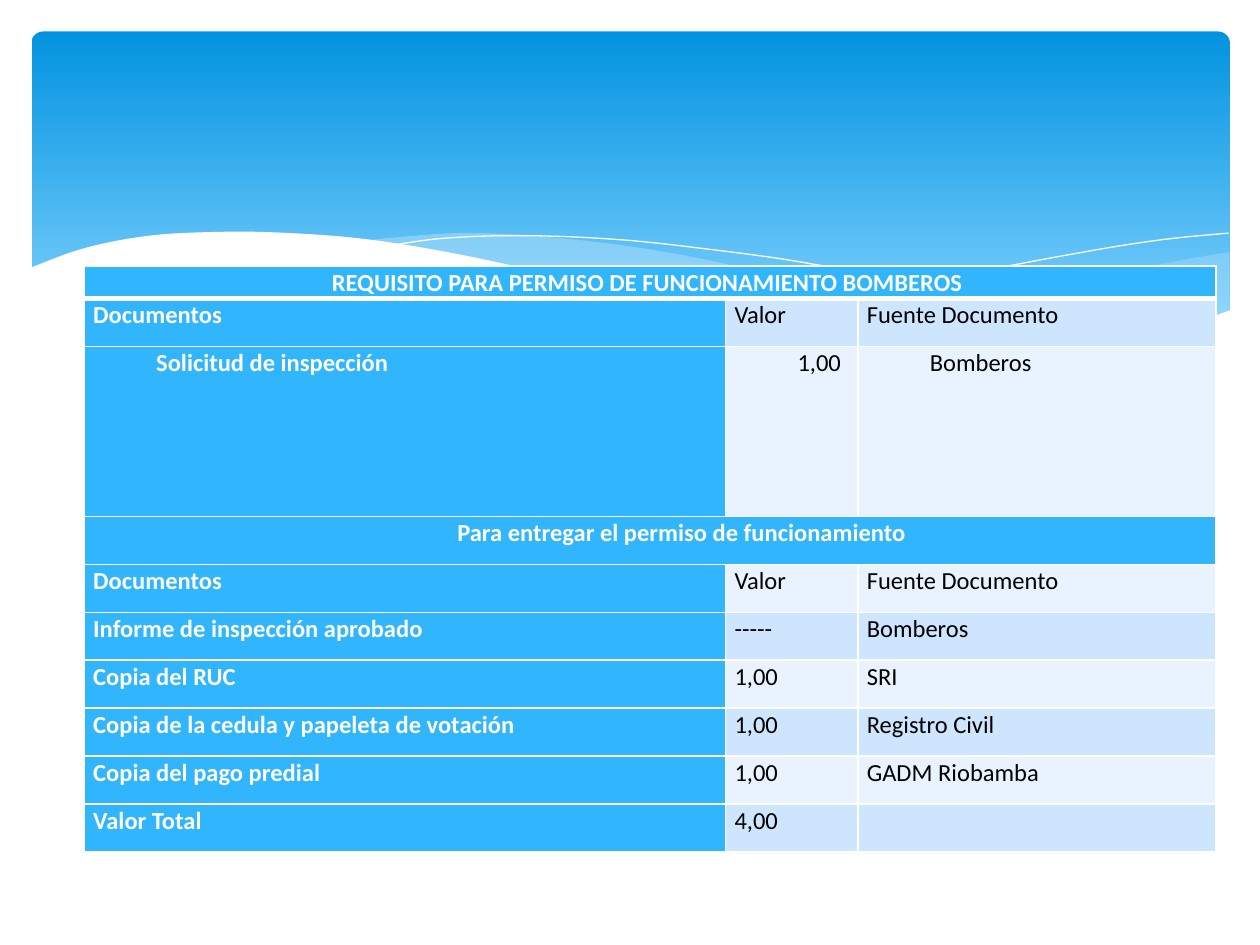
import pptx
import pptx.dml.color
import pptx.enum.shapes
import pptx.enum.text
import pptx.oxml.ns
import pptx.util
from lxml import etree

RGBColor = pptx.dml.color.RGBColor
Inches = pptx.util.Inches
Pt = pptx.util.Pt

WHITE = RGBColor(0xFF, 0xFF, 0xFF)
BLACK = RGBColor(0, 0, 0)
SKY_TOP = RGBColor(0x02, 0x93, 0xE0)
SKY_BOTTOM = RGBColor(0x83, 0xD3, 0xFE)
MIST = RGBColor(0xC6, 0xE7, 0xFC)
ACCENT = RGBColor(0x31, 0xB6, 0xFD)
BANDS = (RGBColor(0xE8, 0xF3, 0xFF), RGBColor(0xCE, 0xE5, 0xFE))

RIGHT_WAVE = (
    [(9.76, 2), (9.35, 2.07), (8.91, 2.16), (8.32, 2.3), (7.53, 2.48), (6.61, 2.65)],
    [(6.61, 2.65), (7.05, 2.71), (7.57, 2.76), (8.03, 2.78), (8.54, 2.76),
     (8.97, 2.7), (9.35, 2.62), (9.76, 2.47)],
)
MIDDLE_WAVE = (
    [(8.93, 2.73), (8.07, 2.6), (7.06, 2.4), (6.29, 2.22), (5.55, 2.05),
     (4.89, 1.94), (4.2, 1.87), (3.61, 1.85), (2.86, 1.91)],
    [(2.86, 1.91), (3.62, 2.03), (4.49, 2.22), (5.3, 2.4), (6.01, 2.55),
     (6.8, 2.68), (7.48, 2.76), (8.18, 2.78), (8.93, 2.73)],
)
LONG_CREST = [(3.09, 1.95), (3.53, 1.89), (4.16, 1.87), (4.89, 1.9), (5.56, 1.97),
              (6.36, 2.08), (7.27, 2.26), (8.31, 2.51), (9.07, 2.72)]
SHORT_CREST = [(6.13, 2.57), (6.95, 2.35), (7.76, 2.16), (8.66, 1.99),
               (9.24, 1.9), (9.75, 1.85)]
FRONT_WAVE = (
    [(9.77, 2.46), (9.3, 2.62), (8.75, 2.73), (8.09, 2.77), (7.44, 2.74),
     (6.68, 2.65), (6.03, 2.54), (5.29, 2.39), (4.47, 2.2), (3.65, 2.02),
     (2.92, 1.9), (2.3, 1.85), (1.77, 1.84), (1.19, 1.87), (0.67, 1.97), (0.23, 2.13)],
    [(0.23, 3.29), (9.77, 3.29)],
)

COLUMN_WIDTHS = (5.09, 1.05, 2.84)
TITLE_HEIGHT, ROW_HEIGHT, REQUEST_HEIGHT = 0.26, 0.38, 1.35
REQUEST_ROW, DELIVERY_ROW = 2, 3
HEADINGS = ("Documentos", "Valor", "Fuente Documento")
REQUIREMENTS = (
    ("REQUISITO PARA PERMISO DE FUNCIONAMIENTO BOMBEROS ",),
    HEADINGS,
    ("Solicitud de inspección", "1,00", "Bomberos"),
    ("Para entregar el permiso de funcionamiento",),
    HEADINGS,
    ("Informe de inspección aprobado", "-----", "Bomberos"),
    ("Copia del RUC", "1,00", "SRI"),
    ("Copia de la cedula y papeleta de votación", "1,00", "Registro Civil"),
    ("Copia del pago predial", "1,00", "GADM Riobamba"),
    ("Valor Total", "4,00", ""),
)


def add_element(parent, tag, **attributes):
    """Append a DrawingML element to its parent."""
    return etree.SubElement(parent, pptx.oxml.ns.qn(tag), attributes)


def smooth(knots, steps=6):
    """Return points of a Catmull-Rom curve through the knots."""
    padded = [knots[0], *knots, knots[-1]]
    points = [knots[0]]
    for a, b, c, d in zip(padded, padded[1:], padded[2:], padded[3:]):
        for step in range(1, steps + 1):
            t = step / steps
            points.append(tuple(
                (2 * q + (r - p) * t + (2 * p - 5 * q + 4 * r - s) * t ** 2
                 + (3 * q - p - 3 * r + s) * t ** 3) / 2
                for p, q, r, s in zip(a, b, c, d)))
    return points


def add_outline(slide, edges, closed):
    """Draw a freeform along smooth edges."""
    points = [(Inches(x), Inches(y)) for edge in edges for x, y in smooth(edge)]
    builder = slide.shapes.build_freeform(*points[0])
    builder.add_line_segments(points[1:], close=closed)
    outline = builder.convert_to_shape()
    outline.shadow.inherit = False
    return outline


def add_wave(slide, edges, colour, opacity=100):
    """Draw a filled wave with the given opacity in percent."""
    wave = add_outline(slide, edges, True)
    wave.fill.solid()
    wave.fill.fore_color.rgb = colour
    wave.line.fill.background()
    if opacity < 100:
        tint = wave.fill._xPr.find(".//" + pptx.oxml.ns.qn("a:srgbClr"))
        add_element(tint, "a:alpha", val=str(opacity * 1000))


def add_crest(slide, knots):
    """Draw a white hairline curve."""
    crest = add_outline(slide, [knots], False)
    crest.fill.background()
    crest.line.color.rgb = WHITE
    crest.line.width = Pt(0)


def add_sky(slide):
    """Draw the rounded gradient panel."""
    sky = slide.shapes.add_shape(
        pptx.enum.shapes.MSO_SHAPE.ROUNDED_RECTANGLE,
        Inches(0.25), Inches(0.25), Inches(9.51), Inches(2.7))
    sky.adjustments[0] = 0.034
    sky.shadow.inherit = False
    sky.line.fill.background()
    sky.fill.gradient()
    sky.fill.gradient_angle = 270
    for stop, colour, position in zip(
            sky.fill.gradient_stops, (SKY_TOP, SKY_BOTTOM), (0, 0.9)):
        stop.color.rgb = colour
        stop.position = position


def add_borders(cell, row):
    """Give a cell white borders, thick below the title row."""
    widths = {"L": 1, "R": 1, "T": 3 if row == 1 else 1, "B": 3 if row == 0 else 1}
    properties = cell._tc.get_or_add_tcPr()
    for side, width in widths.items():
        border = add_element(properties, f"a:ln{side}", w=str(Pt(width)))
        paint = add_element(border, "a:solidFill")
        add_element(paint, "a:srgbClr", val=str(WHITE))


def style_cell(cell, row, is_label):
    """Set the margins, borders and fill of a cell."""
    cell.margin_left = cell.margin_right = Inches(0.07)
    cell.margin_top = cell.margin_bottom = 0
    add_borders(cell, row)
    cell.fill.solid()
    cell.fill.fore_color.rgb = ACCENT if is_label else BANDS[row % 2]


def write_cell(cell, text, is_label, centred, indented):
    """Write the text of a cell."""
    paragraph = cell.text_frame.paragraphs[0]
    paragraph.line_spacing = 1.07
    if centred:
        paragraph.alignment = pptx.enum.text.PP_ALIGN.CENTER
    if indented:
        paragraph._p.get_or_add_pPr().set("marL", str(Inches(0.5)))
    run = paragraph.add_run()
    run.text = text
    run.font.name = "Calibri"
    run.font.size = Pt(14)
    run.font.bold = is_label
    run.font.color.rgb = WHITE if is_label else BLACK


def add_requirements(slide):
    """Build the table of requirements."""
    heights = [ROW_HEIGHT] * len(REQUIREMENTS)
    heights[0], heights[REQUEST_ROW] = TITLE_HEIGHT, REQUEST_HEIGHT
    table = slide.shapes.add_table(
        len(heights), len(COLUMN_WIDTHS), Inches(0.67), Inches(2.11),
        Inches(sum(COLUMN_WIDTHS)), Inches(sum(heights))).table
    for column, width in zip(table.columns, COLUMN_WIDTHS):
        column.width = Inches(width)
    for row, (texts, height) in enumerate(zip(REQUIREMENTS, heights)):
        table.rows[row].height = Inches(height)
        spans = len(texts) == 1
        for column in range(len(COLUMN_WIDTHS)):
            style_cell(table.cell(row, column), row, spans or column == 0)
        if spans:
            table.cell(row, 0).merge(table.cell(row, len(COLUMN_WIDTHS) - 1))
        for column, text in enumerate(texts):
            if text:
                write_cell(table.cell(row, column), text, column == 0, spans,
                           row in (REQUEST_ROW, DELIVERY_ROW))


def main():
    """Build and save the slide."""
    deck = pptx.Presentation()
    deck.slide_width, deck.slide_height = Inches(10), Inches(7.5)
    slide = deck.slides.add_slide(deck.slide_layouts[6])
    add_sky(slide)
    add_wave(slide, RIGHT_WAVE, MIST, 29)
    add_wave(slide, MIDDLE_WAVE, MIST, 40)
    add_crest(slide, LONG_CREST)
    add_crest(slide, SHORT_CREST)
    add_wave(slide, FRONT_WAVE, WHITE)
    add_requirements(slide)
    deck.save("out.pptx")


if __name__ == "__main__":
    main()
